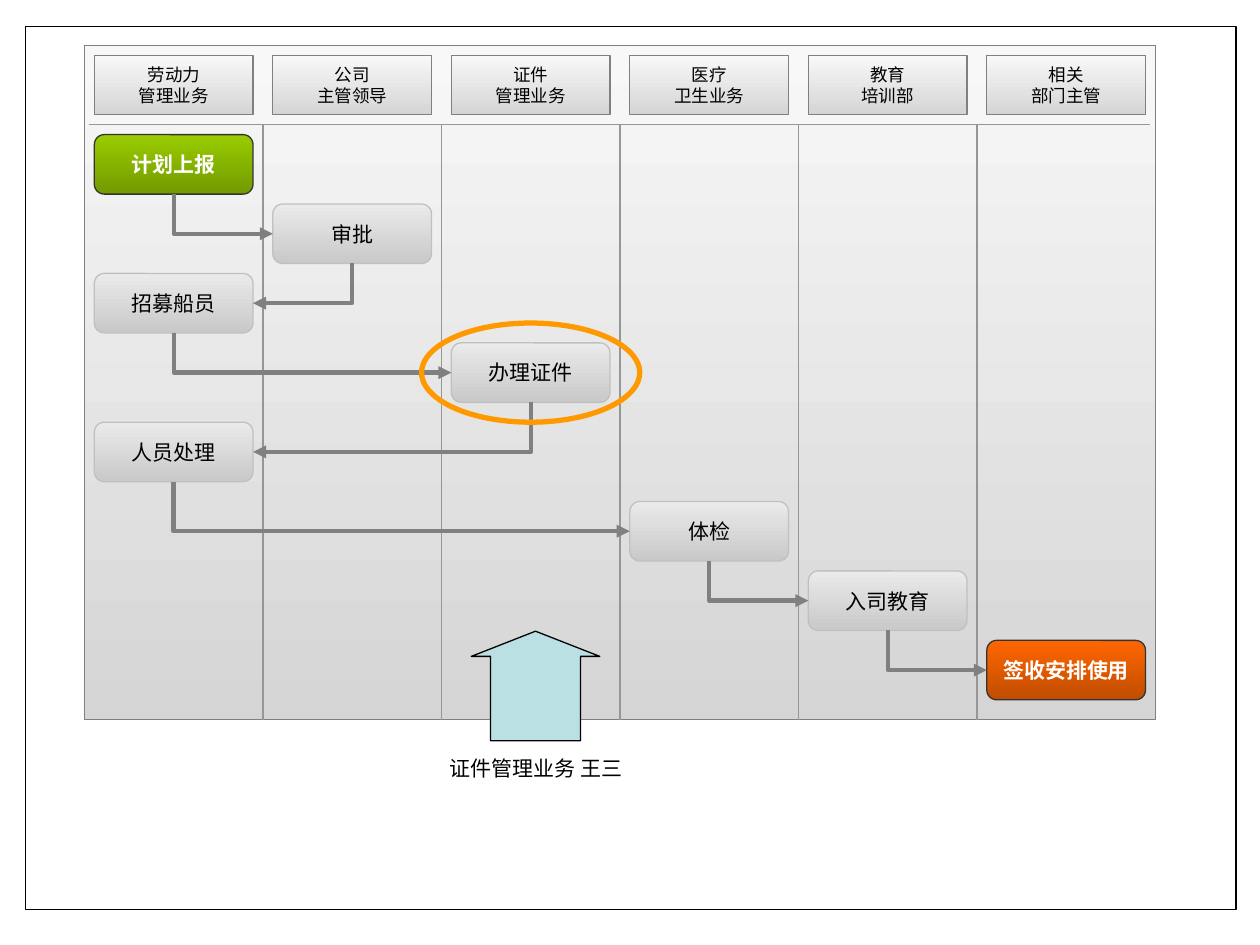
import copy
import itertools
import pptx
import pptx.util
import pptx.dml.color
import pptx.enum.shapes
import pptx.enum.text
import pptx.oxml
import pptx.oxml.ns

# Content: "\v" breaks a line, "\n" starts a paragraph
LANES = ["劳动力\v管理业务", "公司\v主管领导", "证件\n管理业务",
         "医疗\v卫生业务", "教育\v培训部", "相关\v部门主管"]
# (text, lane, style, units down from the step before)
STEPS = [("计划上报", 0, "start", 9), ("审批", 1, "step", 7),
         ("招募船员", 0, "step", 7), ("办理证件", 2, "step", 7),
         ("人员处理", 0, "step", 8), ("体检", 3, "step", 8),
         ("入司教育", 4, "step", 7), ("签收安排使用", 5, "end", 7)]
FOCUS = 3
CAPTION = "证件管理业务 王三"

THEME = {
    "latin": "Arial", "asian": "Noto Sans CJK SC",
    "small": 10, "body": 12, "thin": 0.75, "flow": 2.5, "ring": 3,
    "ink": "000000", "paper": "FFFFFF", "rule": "969696", "link": "808080",
    "mark": "FF9900", "arrow": "BBE0E3",
    # style: gradient from, gradient to, outline, text, bold
    "panel": ("F8F8F8", "D5D5D5", "808080", "000000", False),
    "step": ("EAEAEA", "C9C9C9", "C0C0C0", "000000", False),
    "start": ("99CC00", "739A00", "333333", "FFFFFF", True),
    "end": ("FF6600", "C14D00", "333333", "FFFFFF", True),
}

# Grid: the panel is 108 units wide, each lane 18, each box 16 by 6
LEFT, TOP, WIDE = 0.67, 0.36, 8.5
UNIT = WIDE / 108
LANE, BOXW, BOXH, HEAD, TALL = 18, 16, 6, 8, 68

KIND = pptx.enum.shapes.MSO_SHAPE
LINE = pptx.enum.shapes.MSO_CONNECTOR
inch = pptx.util.Inches
qn = pptx.oxml.ns.qn

deck = pptx.Presentation()
deck.slide_width, deck.slide_height = inch(10), inch(7.5)
slide = deck.slides.add_slide(deck.slide_layouts[6])


def rgb(code):
    return pptx.dml.color.RGBColor.from_string(code)


def grid(x, y, w, h):
    """Inches for a place given in units from the panel's corner."""
    return LEFT + x * UNIT, TOP + y * UNIT, w * UNIT, h * UNIT


def write(shape, text, size=THEME["body"], color=THEME["ink"], bold=False,
          font=THEME["latin"], wrap=False):
    frame = shape.text_frame
    frame.word_wrap = wrap
    frame.vertical_anchor = pptx.enum.text.MSO_ANCHOR.MIDDLE
    for i, part in enumerate(text.split("\n")):
        para = frame.add_paragraph() if i else frame.paragraphs[0]
        para.alignment = pptx.enum.text.PP_ALIGN.CENTER
        for j, words in enumerate(part.split("\v")):
            if j:
                para.add_line_break()
            run = para.add_run()
            run.text = words
            run.font.size, run.font.bold = pptx.util.Pt(size), bold
            run.font.name, run.font.color.rgb = font, rgb(color)
            form = run.font._element
            asian = pptx.oxml.parse_xml(
                "<a:ea %s/>" % pptx.oxml.ns.nsdecls("a"))
            asian.set("typeface", THEME["asian"])
            form.append(asian)
            if j:
                para._p.findall(qn("a:br"))[-1].append(copy.deepcopy(form))


def draw(kind, place, line, fill=None, width=THEME["thin"]):
    shape = slide.shapes.add_shape(kind, *map(inch, place))
    shape.shadow.inherit = False
    shape.line.color.rgb = rgb(line)
    shape.line.width = pptx.util.Pt(width)
    if fill is None:
        shape.fill.background()
    elif isinstance(fill, str):
        shape.fill.solid()
        shape.fill.fore_color.rgb = rgb(fill)
    else:
        shape.fill.gradient()
        shape.fill.gradient_angle = 270
        for stop, code in zip(shape.fill.gradient_stops, fill):
            stop.color.rgb = rgb(code)
    return shape


def block(kind, place, style, text="", size=THEME["body"]):
    first, last, edge, ink, bold = THEME[style]
    shape = draw(kind, place, edge, (first, last))
    if text:
        write(shape, text, size=size, color=ink, bold=bold)
    return shape


def stroke(kind, ends, color, width):
    line = slide.shapes.add_connector(kind, *map(inch, ends))
    line.line.color.rgb = rgb(color)
    line.line.width = pptx.util.Pt(width)
    line._element.spPr.append(pptx.oxml.parse_xml(
        "<a:effectLst %s/>" % pptx.oxml.ns.nsdecls("a")))
    return line


def rule(x1, y1, x2, y2):
    ends = grid(x1, y1, 0, 0)[:2] + grid(x2, y2, 0, 0)[:2]
    stroke(LINE.STRAIGHT, ends, THEME["rule"], THEME["thin"])


def join(a, b):
    """Arrow from the foot of a, down and then across to the side of b."""
    right = b.left > a.left
    line = stroke(LINE.ELBOW, (0, 0, 1, 1), THEME["link"], THEME["flow"])
    line.begin_connect(a, 2)
    line.end_connect(b, 1 if right else 3)
    x1, y1 = a.left + a.width // 2, a.top + a.height
    x2, y2 = b.left + (0 if right else b.width), b.top + b.height // 2
    # A one-bend connector lies on its side, turned about its centre
    w, h = y2 - y1, abs(x2 - x1)
    line.left, line.top = (x1 + x2 - w) // 2, (y1 + y2 - h) // 2
    line.width, line.height = w, h
    prop = line._element.spPr
    turn = prop.find(qn("a:xfrm"))
    for name in ("flipH", "flipV"):
        turn.attrib.pop(name, None)
    turn.set("rot", str((270 if right else 90) * 60000))
    if right:
        turn.set("flipH", "1")
    prop.find(qn("a:prstGeom")).set("prst", "bentConnector2")
    prop.find(qn("a:ln")).append(pptx.oxml.parse_xml(
        '<a:tailEnd type="triangle" %s/>' % pptx.oxml.ns.nsdecls("a")))


# Frame and caption
draw(KIND.RECTANGLE, (0.2, 0.21, 9.61, 7.01), THEME["ink"], THEME["paper"])
note = slide.shapes.add_textbox(*map(inch, (3.35, 5.95, 1.81, 0.3)))
write(note, CAPTION, font=THEME["asian"], wrap=True)

# Panel, lane heads and rules
block(KIND.RECTANGLE, grid(0, 0, 108, TALL), "panel")
for i, name in enumerate(LANES):
    block(KIND.RECTANGLE, grid(i * LANE + 1, 1, BOXW, BOXH), "panel", name,
          THEME["small"])
rule(0.5, HEAD, 107.5, HEAD)
for i in range(1, len(LANES)):
    rule(i * LANE, HEAD, i * LANE, TALL)

# Steps and the arrows between them
rows = list(itertools.accumulate(step[3] for step in STEPS))
boxes = [block(KIND.ROUNDED_RECTANGLE,
               grid(lane * LANE + 1, y, BOXW, BOXH), style, text)
         for (text, lane, style, _), y in zip(STEPS, rows)]
for a, b in zip(boxes, boxes[1:]):
    join(a, b)

# Pointer and ring for the step in focus
up = draw(KIND.UP_ARROW, (3.74, 5.01, 1.02, 0.87), THEME["ink"],
          THEME["arrow"])
up.adjustments[0], up.adjustments[1] = 0.7, 0.23
draw(KIND.OVAL, grid(STEPS[FOCUS][1] * LANE - 2, rows[FOCUS] - 2,
                     BOXW + 6, BOXH + 4), THEME["mark"], width=THEME["ring"])

deck.save("out.pptx")
